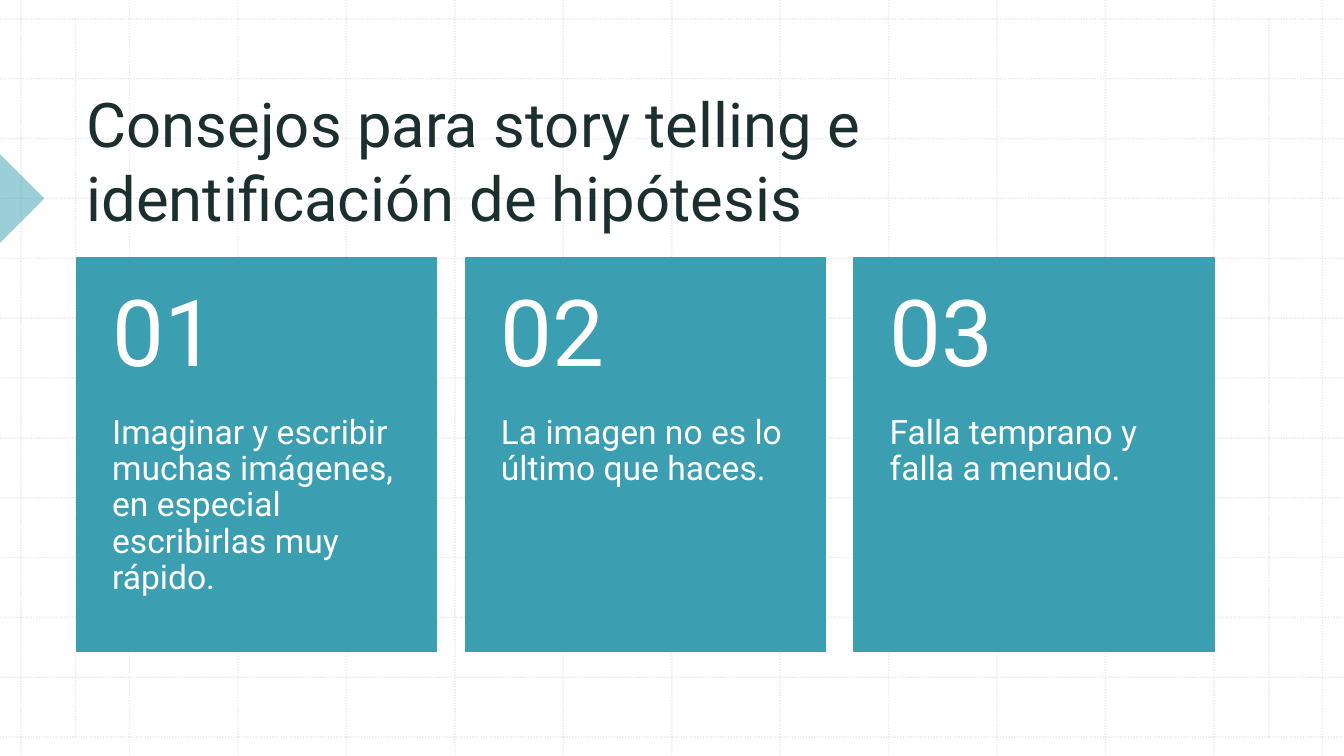
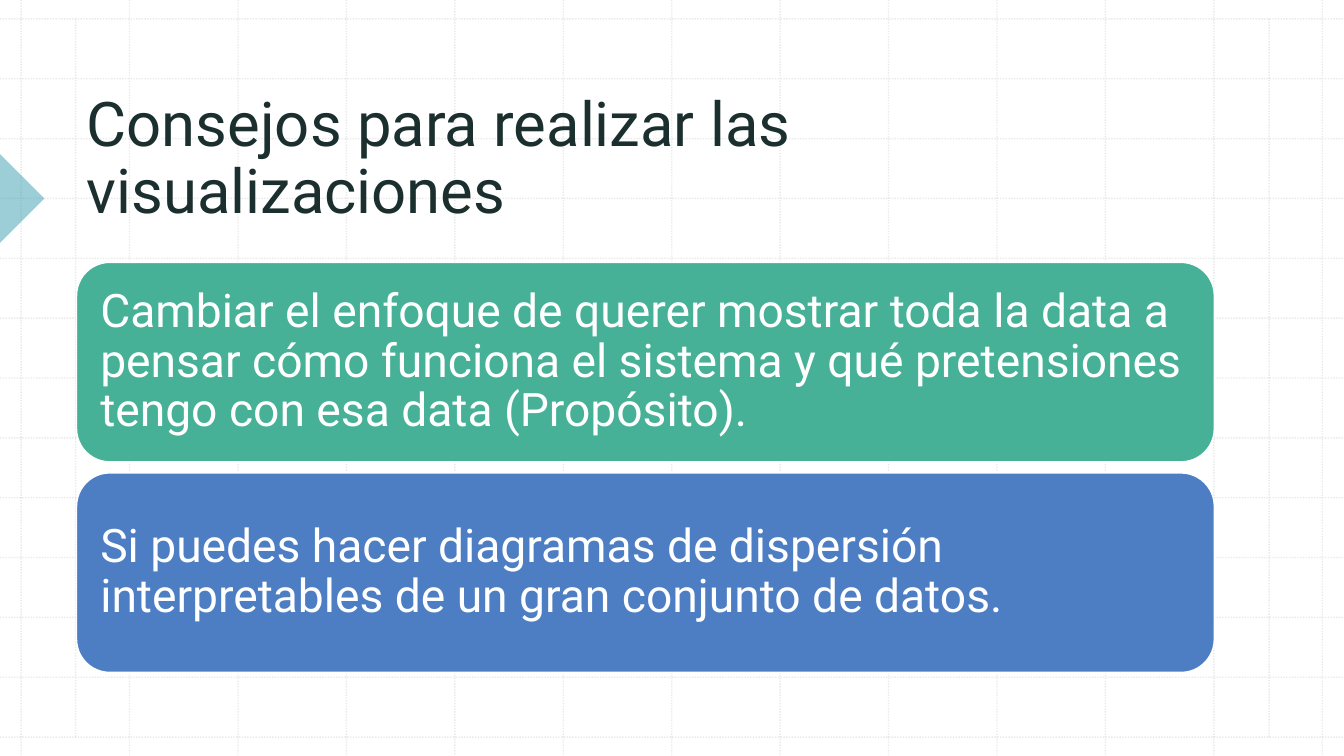
from dataclasses import dataclass

from lxml.etree import SubElement
from pptx import Presentation
from pptx.dml.color import RGBColor
from pptx.enum.dml import MSO_LINE
from pptx.enum.shapes import MSO_CONNECTOR, MSO_SHAPE
from pptx.enum.text import MSO_ANCHOR, MSO_AUTO_SIZE, PP_ALIGN
from pptx.oxml.ns import qn
from pptx.util import Pt


@dataclass(frozen=True)
class Theme:
    font: str = "Roboto"
    white: str = "FFFFFF"
    ink: str = "1B2F2E"
    grid: str = "BCBCBC"
    teal: str = "3B9EB1"
    green: str = "46B196"
    blue: str = "4D7EC3"
    title_size: float = 44
    number_size: float = 66
    card_size: float = 24
    banner_size: float = 33


@dataclass(frozen=True)
class Area:
    left: float
    top: float
    width: float
    height: float

    def lengths(self) -> tuple:
        return Pt(self.left), Pt(self.top), Pt(self.width), Pt(self.height)


@dataclass(frozen=True)
class Card:
    number: str
    advice: str


@dataclass(frozen=True)
class Banner:
    advice: str
    color: str


THEME = Theme()
PAGE_WIDTH, PAGE_HEIGHT = 960, 540
LEFT, CONTENT_WIDTH = 54.7, 812.7
TITLE_TOP = 56.9

CARDS = [
    Card("01", "Imaginar y escribir muchas imágenes, en especial escribirlas muy rápido."),
    Card("02", "La imagen no es lo último que haces."),
    Card("03", "Falla temprano y falla a menudo."),
]
BANNERS = [
    Banner("Cambiar el enfoque de querer mostrar toda la data a pensar cómo funciona "
           "el sistema y qué pretensiones tengo con esa data (Propósito).", THEME.green),
    Banner("Si puedes hacer diagramas de dispersión interpretables de un gran conjunto "
           "de datos.", THEME.blue),
]


# Drawing helpers
def write_text(shape, text: str, *, size: float, color: str = THEME.white,
               anchor=MSO_ANCHOR.MIDDLE, spacing: float = 0.9,
               insets: tuple = (7.2, 3.6, 7.2, 3.6)) -> None:
    frame = shape.text_frame
    frame.word_wrap = True
    frame.auto_size = MSO_AUTO_SIZE.NONE
    frame.vertical_anchor = anchor
    (frame.margin_left, frame.margin_top,
     frame.margin_right, frame.margin_bottom) = map(Pt, insets)
    para = frame.paragraphs[0]
    para.alignment = PP_ALIGN.LEFT
    para.line_spacing = spacing
    span = para.add_run()
    span.text = text
    span.font.name = THEME.font
    span.font.size = Pt(size)
    span.font.color.rgb = RGBColor.from_string(color)


def set_opacity(shape, percent: int) -> None:
    for color in shape.element.iter(qn("a:srgbClr")):
        SubElement(color, qn("a:alpha")).set("val", str(percent * 1000))


def add_box(page, kind, area: Area, fill: str, outline: str | None = None):
    box = page.shapes.add_shape(kind, *area.lengths())
    box.shadow.inherit = False
    box.fill.solid()
    box.fill.fore_color.rgb = RGBColor.from_string(fill)
    if outline:
        box.line.color.rgb = RGBColor.from_string(outline)
        box.line.width = Pt(1)
    else:
        box.line.fill.background()
    return box


def add_grid_line(page, x1: float, y1: float, x2: float, y2: float):
    line = page.shapes.add_connector(MSO_CONNECTOR.STRAIGHT, Pt(x1), Pt(y1), Pt(x2), Pt(y2))
    line.line.color.rgb = RGBColor.from_string(THEME.grid)
    line.line.width = Pt(1)
    line.line.dash_style = MSO_LINE.ROUND_DOT
    set_opacity(line, 30)
    SubElement(line.element.spPr, qn("a:effectLst"))
    return line


# Shared layout: dotted grid and side marker
def decorate_layout(layout, page) -> None:
    """Draw the background on a page, then move it behind the layout's title."""
    first_x, step_x = 15.1, 77.45
    first_y, step_y = 13.5, 42.75
    last_y = first_y + 12 * step_y
    decor = []
    for index in range(13):
        x, y = first_x + index * step_x, first_y + index * step_y
        decor.append(add_grid_line(page, x, 0, x, PAGE_HEIGHT))
        decor.append(add_grid_line(page, 0, y, PAGE_WIDTH, y))
    for x in (54, 906.5):
        decor.append(add_grid_line(page, x, first_y, x, last_y))

    marker = add_box(page, MSO_SHAPE.RIGHT_TRIANGLE, Area(-22.4, 119.4, 44.8, 44.8), THEME.teal)
    marker.rotation = 225
    set_opacity(marker, 50)
    decor.append(marker)

    for placeholder in list(layout.placeholders)[1:]:
        layout.shapes.element.remove(placeholder.element)
    for position, shape in enumerate(decor, start=2):
        layout.shapes.element.insert(position, shape.element)


def add_title(page, text: str, height: float, spacing: float) -> None:
    title = page.shapes.title
    area = Area(LEFT, TITLE_TOP, CONTENT_WIDTH, height)
    title.left, title.top, title.width, title.height = area.lengths()
    write_text(title, text, size=THEME.title_size, color=THEME.ink,
               anchor=MSO_ANCHOR.BOTTOM, spacing=spacing)


# Slide 1: numbered cards
def build_cards(page) -> None:
    add_title(page, "Consejos para story telling e identificación de hipótesis", 113.8, 1.0)
    top, width, height, number_height = 184.2, 257.3, 281, 112.4
    step = (CONTENT_WIDTH - width) / (len(CARDS) - 1)
    for index, card in enumerate(CARDS):
        left = LEFT + index * step
        box = add_box(page, MSO_SHAPE.RECTANGLE, Area(left, top, width, height),
                      THEME.teal, THEME.teal)
        write_text(box, card.advice, size=THEME.card_size, anchor=MSO_ANCHOR.TOP,
                   insets=(25.4, number_height, 25.4, 25.9))
        number = page.shapes.add_textbox(*Area(left, top, width, number_height).lengths())
        write_text(number, card.number, size=THEME.number_size, insets=(25.4, 13, 25.4, 13))


# Slide 2: stacked banners
def build_banners(page) -> None:
    add_title(page, "Consejos para realizar las visualizaciones", 108.7, 0.9)
    top, height, gap = 187.4, 142.5, 7.9
    for index, banner in enumerate(BANNERS):
        area = Area(LEFT, top + index * (height + gap), CONTENT_WIDTH, height)
        box = add_box(page, MSO_SHAPE.ROUNDED_RECTANGLE, area, banner.color, THEME.white)
        write_text(box, banner.advice, size=THEME.banner_size, insets=(10, 10, 10, 10))


def main() -> None:
    deck = Presentation()
    deck.slide_width, deck.slide_height = Pt(PAGE_WIDTH), Pt(PAGE_HEIGHT)
    layout = deck.slide_layouts.get_by_name("Title Only")
    cards_page, banners_page = (deck.slides.add_slide(layout) for _ in range(2))
    decorate_layout(layout, cards_page)
    build_cards(cards_page)
    build_banners(banners_page)
    deck.save("out.pptx")


if __name__ == "__main__":
    main()
